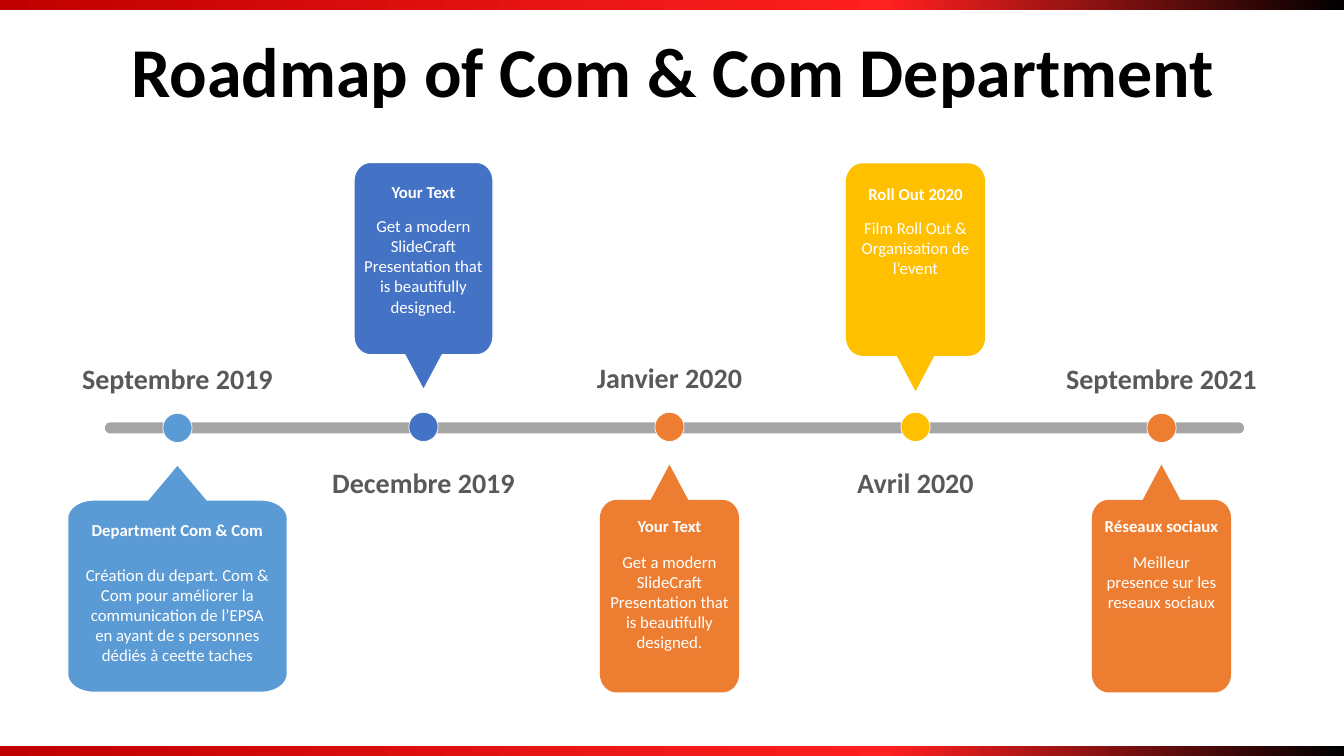
from dataclasses import dataclass

from lxml import etree
from pptx import Presentation
from pptx import util as u
from pptx.dml.color import RGBColor
from pptx.enum import shapes, text
from pptx.oxml.ns import qn


@dataclass(frozen=True)
class Theme:
    font: str = "Calibri"
    title_size: int = 50
    date_size: int = 20
    card_size: int = 12
    black: str = "000000"
    white: str = "FFFFFF"
    date: str = "595959"
    track: str = "808080"
    light_blue: str = "5B9BD5"
    blue: str = "4472C4"
    orange: str = "ED7D31"
    yellow: str = "FFC000"
    band: tuple[tuple[int, str], ...] = ((0, "C00000"), (66, "FF2020"), (100, "000000"))


THEME = Theme()


@dataclass(frozen=True)
class Milestone:
    date: str
    date_width: float
    heading: str
    body: str
    body_height: float
    color: str
    card_top: float = 4.61
    above: bool = False
    width: float = 1.38
    heading_width: float = 1.38
    body_width: float = 1.38
    heading_top: float = 5.07
    body_top: float = 5.42
    date_top: float = 3.54
    dot_top: float = 4.09
    outlined: bool = False


PLACEHOLDER_BODY = "Get a modern SlideCraft Presentation that is beautifully designed."
MILESTONES = (
    Milestone("Septembre 2019", 2.32, "Department Com & Com",
              "Création du depart. Com & Com pour améliorer la communication de l’EPSA "
              "en ayant de s personnes dédiés à ceette taches",
              1.11, THEME.light_blue, width=2.18, heading_width=1.96, body_width=2.07,
              heading_top=5.11, body_top=5.55, dot_top=4.1, outlined=True),
    Milestone("Decembre 2019", 2.18, "Your Text", PLACEHOLDER_BODY, 1.31, THEME.blue,
              card_top=1.61, above=True, heading_top=1.75, body_top=2.09, date_top=4.57,
              outlined=True),
    Milestone("Janvier 2020", 1.9, "Your Text", PLACEHOLDER_BODY, 1.31, THEME.orange,
              date_top=3.53),
    Milestone("Avril 2020", 1.38, "Roll Out 2020", "Film Roll Out & Organisation de l’event",
              0.71, THEME.yellow, card_top=1.62, above=True, heading_top=1.77, body_top=2.11,
              date_top=4.57),
    Milestone("Septembre 2021", 2.1, "Réseaux sociaux", "Meilleur presence sur les reseaux sociaux",
              0.71, THEME.orange, dot_top=4.1),
)
FIRST_CENTER, SPACING = 1.76, 2.44
DOT_SIZE = 0.29
CARD_HEIGHT, POINTER_HEIGHT, CORNER_HEIGHT = 2.26, 0.35, 0.18
CORNER_ENDS = (3, 5, 7, 9)
CURVE = 0.55


def style_shape(shape, color: str, line_width: float = 0) -> None:
    shape.shadow.inherit = False
    shape.fill.solid()
    shape.fill.fore_color.rgb = RGBColor.from_string(color)
    if line_width:
        shape.line.color.rgb = RGBColor.from_string(THEME.white)
        shape.line.width = u.Pt(line_width)
    else:
        shape.line.fill.background()


def add_label(slide, words: str, center: float, top: float, width: float, height: float,
              size: int, color: str, bold: bool = False):
    box = slide.shapes.add_textbox(u.Inches(center - width / 2), u.Inches(top),
                                   u.Inches(width), u.Inches(height))
    frame = box.text_frame
    frame.word_wrap = True
    frame.auto_size = text.MSO_AUTO_SIZE.SHAPE_TO_FIT_TEXT
    frame.text = words
    paragraph = frame.paragraphs[0]
    paragraph.alignment = text.PP_ALIGN.CENTER
    for run in paragraph.runs:
        run.font.name = THEME.font
        run.font.size = u.Pt(size)
        run.font.bold = bold
        run.font.color.rgb = RGBColor.from_string(color)
    return frame


def add_title(slide) -> None:
    frame = add_label(slide, "Roadmap of Com & Com Department", 6.68, 0.37, 12.66, 0.79,
                      THEME.title_size, THEME.black, bold=True)
    frame.auto_size = text.MSO_AUTO_SIZE.NONE
    frame.vertical_anchor = text.MSO_ANCHOR.MIDDLE
    paragraph = frame.paragraphs[0]
    paragraph.line_spacing = 0.8
    paragraph.runs[0].font._element.set("kern", "1200")


def add_band(slide, top: float) -> None:
    band = slide.shapes.add_shape(shapes.MSO_SHAPE.RECTANGLE, 0, u.Inches(top),
                                  u.Inches(13.33), u.Inches(0.1))
    style_shape(band, THEME.black)
    band.fill.gradient()
    band.fill.gradient_angle = 0
    stops = next(band.element.iter(qn("a:gsLst")))
    for stop in list(stops):
        stops.remove(stop)
    for position, color in THEME.band:
        stop = etree.SubElement(stops, qn("a:gs"), pos=str(position * 1000))
        etree.SubElement(stop, qn("a:srgbClr"), val=color)


def add_track(slide) -> None:
    track = slide.shapes.add_shape(shapes.MSO_SHAPE.ROUNDED_RECTANGLE, u.Inches(1.04),
                                   u.Inches(4.19), u.Inches(11.3), u.Inches(0.11))
    track.adjustments[0] = 0.5
    style_shape(track, THEME.track)
    color = track.element.spPr.find(qn("a:solidFill")).find(qn("a:srgbClr"))
    etree.SubElement(color, qn("a:alpha"), val="70000")


def round_corners(shape) -> None:
    outline = next(shape.element.iter(qn("a:path")))
    segments = list(outline)
    points = [(int(point.get("x")), int(point.get("y"))) for point in outline.iter(qn("a:pt"))]
    for order, end in enumerate(CORNER_ENDS):
        (x1, y1), (x2, y2) = points[end - 1], points[end]
        corner_x, corner_y = (x1, y2) if order % 2 else (x2, y1)
        curve = etree.Element(qn("a:cubicBezTo"))
        for x, y in ((x1 + CURVE * (corner_x - x1), y1 + CURVE * (corner_y - y1)),
                     (x2 + CURVE * (corner_x - x2), y2 + CURVE * (corner_y - y2)), (x2, y2)):
            etree.SubElement(curve, qn("a:pt"), x=str(round(x)), y=str(round(y)))
        outline.replace(segments[end], curve)


def add_callout(slide, milestone: Milestone, center: float) -> None:
    side = milestone.width / 2
    neck, inner = milestone.width * 0.135, side - milestone.width * 0.12
    near, far = POINTER_HEIGHT, CARD_HEIGHT
    upper, lower = near + CORNER_HEIGHT, far - CORNER_HEIGHT
    right = [(neck, near), (inner, near), (side, upper), (side, lower), (inner, far)]
    outline = [(0, 0), *right, *((-x, y) for x, y in reversed(right))]
    points = [(u.Inches(center + x), u.Inches(milestone.card_top + y)) for x, y in outline]
    builder = slide.shapes.build_freeform(*points[0], scale=1.0)
    builder.add_line_segments(points[1:], close=True)
    callout = builder.convert_to_shape()
    round_corners(callout)
    style_shape(callout, milestone.color, 1 if milestone.outlined else 0)
    callout.rotation = 180 if milestone.above else 0


def add_milestone(slide, milestone: Milestone, center: float) -> None:
    dot = slide.shapes.add_shape(shapes.MSO_SHAPE.OVAL, u.Inches(center - DOT_SIZE / 2),
                                 u.Inches(milestone.dot_top),
                                 u.Inches(DOT_SIZE), u.Inches(DOT_SIZE))
    style_shape(dot, milestone.color, 0.5)
    dot.rotation = 180 if milestone.above else 0
    add_callout(slide, milestone, center)
    add_label(slide, milestone.heading, center, milestone.heading_top,
              milestone.heading_width, 0.3, THEME.card_size, THEME.white, bold=True)
    add_label(slide, milestone.body, center, milestone.body_top,
              milestone.body_width, milestone.body_height, THEME.card_size, THEME.white)
    add_label(slide, milestone.date, center, milestone.date_top, milestone.date_width, 0.44,
              THEME.date_size, THEME.date, bold=True)


def main() -> None:
    presentation = Presentation()
    presentation.slide_width = u.Inches(13.33)
    presentation.slide_height = u.Inches(7.5)
    slide = presentation.slides.add_slide(presentation.slide_layouts[6])
    for top in (0, 7.4):
        add_band(slide, top)
    add_title(slide)
    add_track(slide)
    for index, milestone in enumerate(MILESTONES):
        add_milestone(slide, milestone, FIRST_CENTER + index * SPACING)
    presentation.save("out.pptx")


if __name__ == "__main__":
    main()
